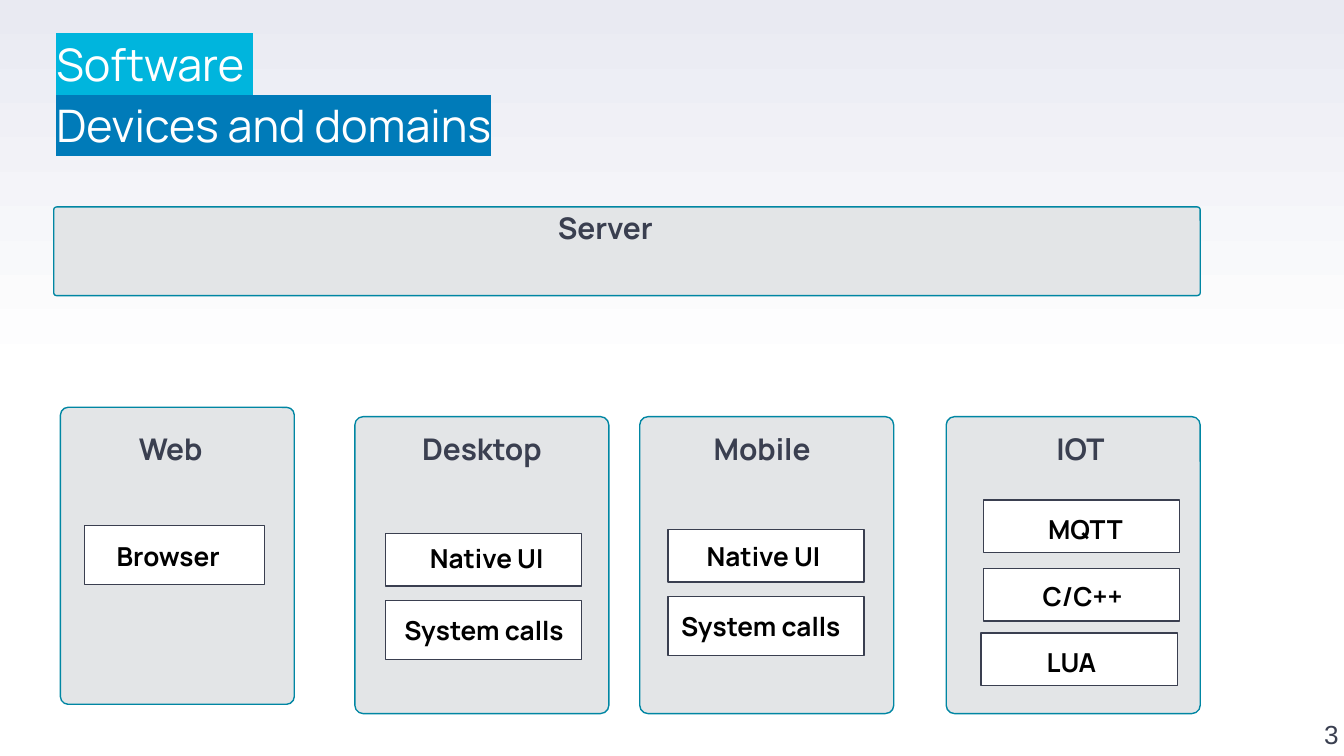
from copy import deepcopy

from lxml.etree import SubElement
from pptx import Presentation
from pptx.dml.color import RGBColor
from pptx.enum.shapes import MSO_SHAPE
from pptx.enum.text import MSO_ANCHOR, PP_ALIGN
from pptx.oxml.ns import qn
from pptx.util import Pt

INK, BLACK, WHITE = "3A3F50", "000000", "FFFFFF"
PANEL_FILL, PANEL_LINE = "E3E5E7", "0086A3"
BACKGROUND_STOPS = [(0, WHITE), (0.5, WHITE), (1, "E9EAF2")]
TITLE = [("Software ", "00B5DD"), ("Devices and domains", "007BB9")]

# Lengths in points: (left, top, width, height)
SERVER = ("Server", (28.8, 110.9, 614.2, 47.5), (298.8, 110.2))

PANEL_TOP, PANEL_HEIGHT, HEADING_TOP = 223.2, 159.1, 229
# Each item: label, box, left and top of the label
PANELS = [
    {"name": "Web", "left": 32.4, "top": 218.2, "width": 125.3, "heading": 74.4,
     "items": [("Browser", (45.4, 281.5, 96.5, 31.7), (55.4, 285.8))]},
    {"name": "Desktop", "left": 190.1, "width": 136.1, "heading": 226.1,
     "items": [("Native UI", (206.6, 285.8, 105.1, 28.1), (223.2, 287.3)),
               ("System calls", (206.6, 321.8, 105.1, 31.7), (209.5, 325.4))]},
    {"name": "Mobile", "left": 342.7, "width": 136.1, "heading": 382.3,
     "items": [("Native UI", (357.8, 283.7, 105.1, 28.1), (371.5, 285.8)),
               ("System calls", (357.8, 319.7, 105.1, 31.7), (357.8, 323.3))]},
    {"name": "IOT", "left": 506.9, "width": 136.1, "heading": 565.9,
     "items": [("MQTT", (527, 267.8, 105.1, 28.1), (554.4, 271.4)),
               ("C/C++", (527, 304.6, 105.1, 28.1), (551.5, 307.4)),
               ("LUA", (525.6, 339.1, 105.1, 28.1), (553.7, 342.7))]},
]


def color(value):
    return RGBColor.from_string(value)


def add_box(slide, bounds, fill, line, rounded=False):
    kind = MSO_SHAPE.ROUNDED_RECTANGLE if rounded else MSO_SHAPE.RECTANGLE
    shape = slide.shapes.add_shape(kind, *map(Pt, bounds))
    if rounded:
        shape.adjustments[0] = 0.033
    shape.shadow.inherit = False
    shape.fill.solid()
    shape.fill.fore_color.rgb = color(fill)
    shape.line.color.rgb = color(line)
    shape.line.width = Pt(0.75)


def add_text(slide, text, bounds, size, ink, bold=None, font="Manrope",
             spacing=None, inset=0, wrap=True):
    """Add a text box with one paragraph per line and return its frame."""
    frame = slide.shapes.add_textbox(*map(Pt, bounds)).text_frame
    frame.word_wrap = wrap
    frame.margin_left = frame.margin_right = Pt(2 * inset)
    frame.margin_top = frame.margin_bottom = Pt(inset)
    frame.text = text
    for paragraph in frame.paragraphs:
        if spacing:
            paragraph.line_spacing = spacing
        for run in paragraph.runs:
            run.font.name = font
            run.font.size = Pt(size)
            run.font.bold = bold
            run.font.color.rgb = color(ink)
    return frame


def add_heading(slide, text, left, top):
    add_text(slide, text, (left, top, 90, 20.9), 16, INK, bold=True, spacing=1.1)


def highlight(run, value):
    properties = run.font._element
    mark = SubElement(properties, qn("a:highlight"))
    SubElement(mark, qn("a:srgbClr")).set("val", value)
    properties.find(qn("a:solidFill")).addnext(mark)


def paint_background(slide):
    fill = slide.background.fill
    fill.gradient()
    fill.gradient_angle = 90
    stop_list = slide.element.xpath(".//a:gsLst")[0]
    stop_list.append(deepcopy(stop_list[-1]))
    for stop, (position, value) in zip(fill.gradient_stops, BACKGROUND_STOPS):
        stop.position = position
        stop.color.rgb = color(value)


def main():
    presentation = Presentation()
    presentation.slide_width, presentation.slide_height = Pt(720), Pt(405)
    slide = presentation.slides.add_slide(presentation.slide_layouts[6])
    paint_background(slide)

    title = add_text(slide, "\n".join(line for line, _ in TITLE),
                     (30.2, 15.1, 409.7, 70.6), 24, WHITE, spacing=1.15)
    for paragraph, (_, value) in zip(title.paragraphs, TITLE):
        highlight(paragraph.runs[0], value)

    name, bounds, heading = SERVER
    add_box(slide, bounds, PANEL_FILL, PANEL_LINE, rounded=True)
    add_heading(slide, name, *heading)

    for panel in PANELS:
        bounds = (panel["left"], panel.get("top", PANEL_TOP), panel["width"], PANEL_HEIGHT)
        add_box(slide, bounds, PANEL_FILL, PANEL_LINE, rounded=True)
        add_heading(slide, panel["name"], panel["heading"], HEADING_TOP)
        for label, box, (left, top) in panel["items"]:
            add_box(slide, box, WHITE, INK)
            add_text(slide, label, (left, top, 108, 24.5), 14, BLACK, bold=True, inset=3.6)

    number = add_text(slide, "3", (681.1, 365, 36, 36.7), 14, INK, font="Arial")
    number.vertical_anchor = MSO_ANCHOR.BOTTOM
    number.paragraphs[0].alignment = PP_ALIGN.RIGHT

    presentation.save("out.pptx")


if __name__ == "__main__":
    main()
